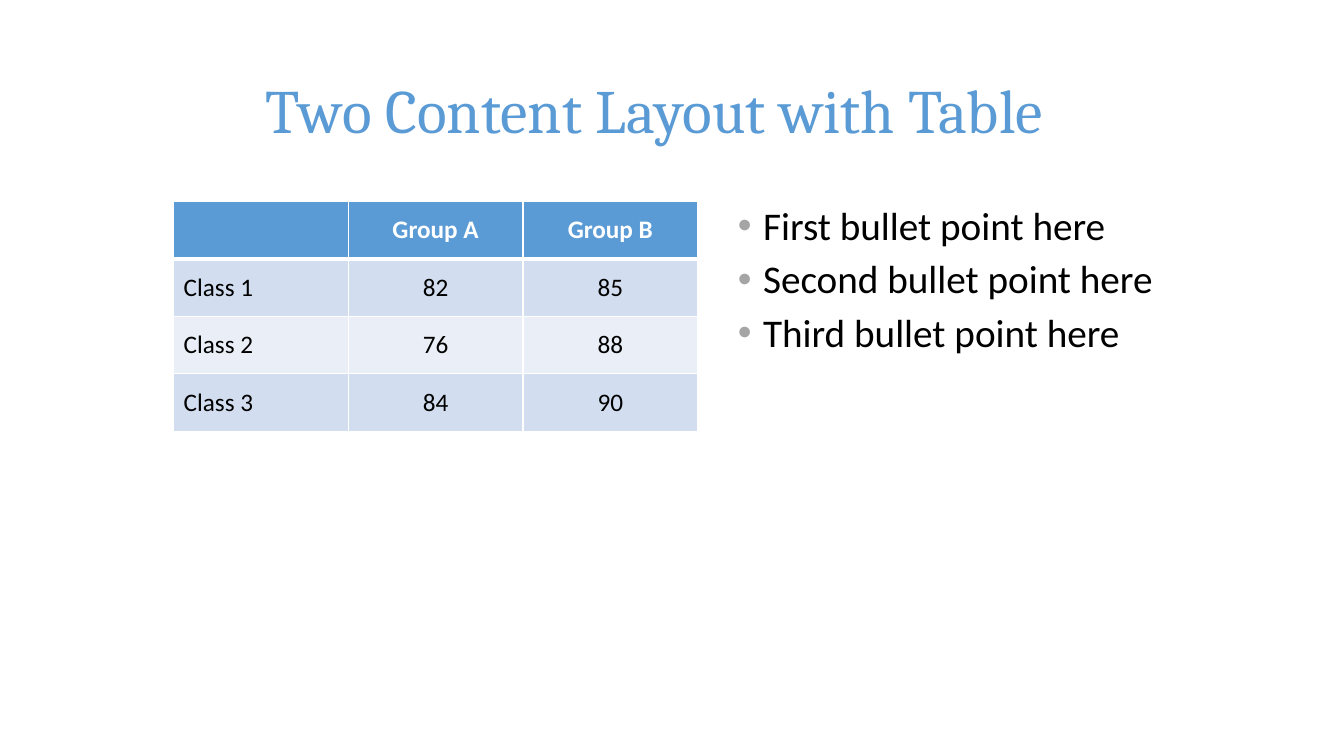
import pptx
import pptx.dml.color
import pptx.enum.text
import pptx.oxml
import pptx.oxml.ns
import pptx.util
from dataclasses import dataclass

Pt = pptx.util.Pt
Align = pptx.enum.text.PP_ALIGN
Anchor = pptx.enum.text.MSO_ANCHOR
Color = pptx.dml.color.RGBColor.from_string
NAMESPACE = pptx.oxml.ns.nsdecls("a")


@dataclass(frozen=True)
class Theme:
    accent: str = "5B9BD5"
    white: str = "FFFFFF"
    text: str = "000000"
    bullet: str = "A5A5A5"
    bands: tuple = ("D2DEEF", "EAEFF7")
    heading_font: str = "Cambria"
    body_font: str = "Calibri"
    title_size: int = 44
    bullet_size: int = 28
    table_size: int = 18


theme = Theme()


def set_font(para, name, size, color, bold=False):
    para.font.name = name
    para.font.size = Pt(size)
    para.font.color.rgb = Color(color)
    para.font.bold = bold


def add_border(cell, side, width):
    cell._tc.get_or_add_tcPr().append(pptx.oxml.parse_xml(
        f'<a:ln{side} {NAMESPACE} w="{Pt(width)}"><a:solidFill>'
        f'<a:srgbClr val="{theme.white}"/></a:solidFill></a:ln{side}>'))


deck = pptx.Presentation()
deck.slide_width, deck.slide_height = Pt(960), Pt(540)
page = deck.slides.add_slide(deck.slide_layouts[6])

# Title
title = page.shapes.add_textbox(Pt(182.9), Pt(28.8), Pt(711.4), Pt(104.4)).text_frame
title.word_wrap = True
title.vertical_anchor = Anchor.MIDDLE
para = title.paragraphs[0]
para.text = "Two Content Layout with Table"
para.line_spacing = 0.9
set_font(para, theme.heading_font, theme.title_size, theme.accent)

# Score table
scores = [
    ["", "Group A", "Group B"],
    ["Class 1", "82", "85"],
    ["Class 2", "76", "88"],
    ["Class 3", "84", "90"],
]
column_width, row_height = 124.8, 41
table = page.shapes.add_table(
    len(scores), len(scores[0]), Pt(124), Pt(144),
    Pt(column_width * len(scores[0])), Pt(row_height * len(scores))).table
for column in table.columns:
    column.width = Pt(column_width)
for row_index, row in enumerate(scores):
    table.rows[row_index].height = Pt(row_height)
    is_header = row_index == 0
    for column_index, value in enumerate(row):
        cell = table.cell(row_index, column_index)
        cell.vertical_anchor = Anchor.MIDDLE
        top_width = 3 if row_index == 1 else 1
        bottom_width = 3 if is_header else 1
        for side, width in (("L", 1), ("R", 1), ("T", top_width), ("B", bottom_width)):
            add_border(cell, side, width)
        cell.fill.solid()
        cell.fill.fore_color.rgb = Color(
            theme.accent if is_header else theme.bands[(row_index - 1) % 2])
        para = cell.text_frame.paragraphs[0]
        para.text = value
        para.alignment = Align.CENTER if column_index else Align.LEFT
        set_font(para, theme.body_font, theme.table_size,
                 theme.white if is_header else theme.text, is_header)

# Bullet list
points = ["First bullet point here", "Second bullet point here", "Third bullet point here"]
bullets = page.shapes.add_textbox(Pt(520), Pt(144), Pt(374.4), Pt(342.7)).text_frame
bullets.word_wrap = True
for index, point in enumerate(points):
    para = bullets.add_paragraph() if index else bullets.paragraphs[0]
    para.text = point
    para.line_spacing = 0.9
    if index:
        para.space_before = Pt(8)
    properties = para._p.get_or_add_pPr()
    properties.set("marL", str(Pt(18)))
    properties.set("indent", str(-Pt(18)))
    for element in (f'<a:buClr {NAMESPACE}><a:srgbClr val="{theme.bullet}"/></a:buClr>',
                    f'<a:buFont {NAMESPACE} typeface="Arial"/>',
                    f'<a:buChar {NAMESPACE} char="•"/>'):
        properties.append(pptx.oxml.parse_xml(element))
    set_font(para, theme.body_font, theme.bullet_size, theme.text)

deck.save("out.pptx")
